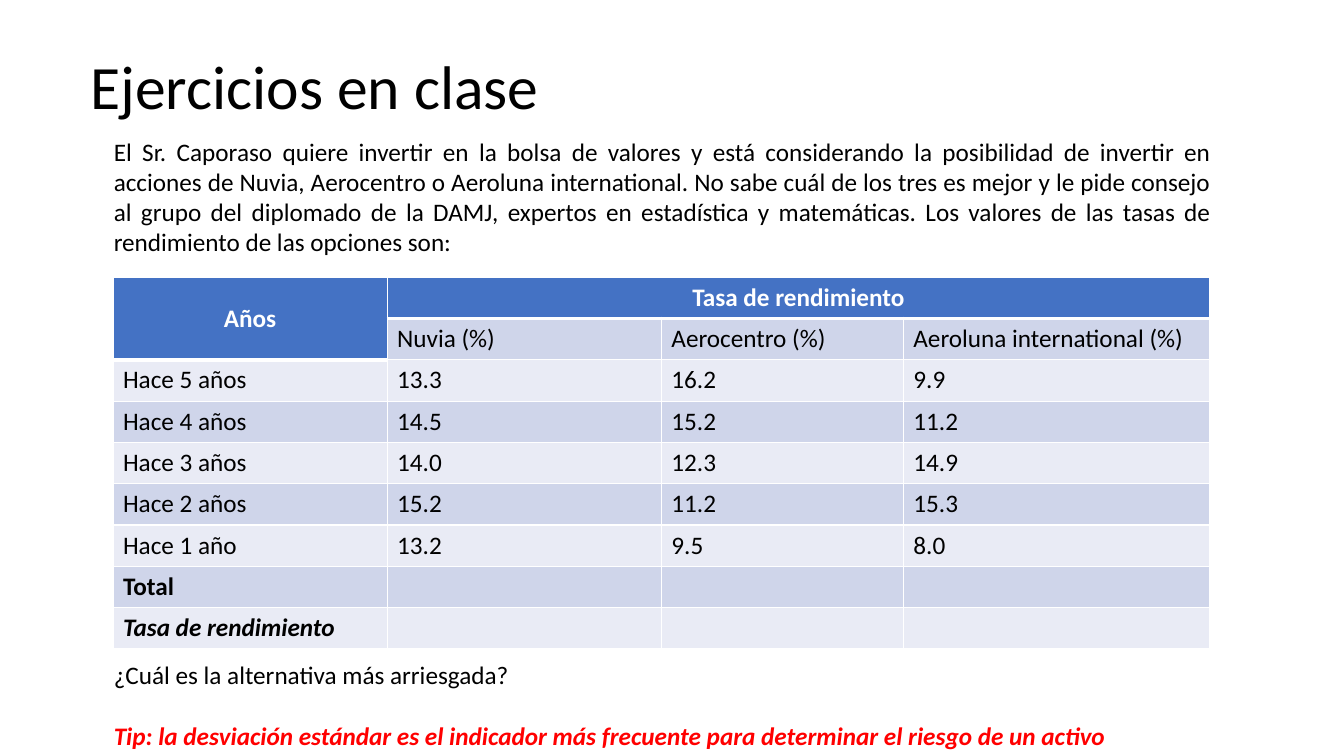
from dataclasses import dataclass

from lxml.etree import SubElement
from pptx import Presentation
from pptx.dml.color import RGBColor
from pptx.enum.text import MSO_ANCHOR, PP_ALIGN
from pptx.oxml.ns import qn
from pptx.util import Inches, Pt


@dataclass(frozen=True)
class Theme:
    """Colours, font and type sizes of the slide."""
    font: str = "Calibri"
    title_size: int = 44
    body_size: int = 18
    ink: str = "000000"
    paper: str = "FFFFFF"
    header: str = "4472C4"
    bands: tuple = ("E9EBF5", "CFD5EA")
    tip: str = "FF0000"
    thin: int = 1
    thick: int = 3


class SlideBuilder:
    """Draws styled elements on the current slide."""

    def __init__(self, slide, theme):
        """Keep the slide and its theme."""
        self.slide = slide
        self.theme = theme

    def style(self, paragraph, size=None, color=None, bold=False, italic=False):
        """Set the font of a paragraph."""
        font = paragraph.font
        font.name = self.theme.font
        font.size = Pt(size or self.theme.body_size)
        font.color.rgb = RGBColor.from_string(color or self.theme.ink)
        font.bold = bold
        font.italic = italic

    def text(self, left, top, width, height, content, align=PP_ALIGN.LEFT,
             anchor=MSO_ANCHOR.TOP, **font):
        """Add a wrapped text box and return its text frame."""
        box = self.slide.shapes.add_textbox(
            Inches(left), Inches(top), Inches(width), Inches(height))
        frame = box.text_frame
        frame.word_wrap = True
        frame.vertical_anchor = anchor
        paragraph = frame.paragraphs[0]
        paragraph.text = content
        paragraph.alignment = align
        self.style(paragraph, **font)
        return frame

    def borders(self, cell, top, bottom):
        """Draw the four white edges of a cell."""
        properties = cell._tc.get_or_add_tcPr()
        widths = {"L": self.theme.thin, "R": self.theme.thin, "T": top, "B": bottom}
        for side, width in widths.items():
            line = SubElement(properties, qn(f"a:ln{side}"), w=str(Pt(width)))
            fill = SubElement(line, qn("a:solidFill"))
            SubElement(fill, qn("a:srgbClr"), val=self.theme.paper)

    def cell(self, cell, content, fill, **font):
        """Fill a cell and write its text."""
        cell.fill.solid()
        cell.fill.fore_color.rgb = RGBColor.from_string(fill)
        paragraph = cell.text_frame.paragraphs[0]
        paragraph.text = content
        self.style(paragraph, **font)

    def table(self, left, top, widths, row_height, rows, label_fonts):
        """Add a banded table with a header row and a tall corner cell."""
        theme = self.theme
        table = self.slide.shapes.add_table(
            len(rows), len(widths), Inches(left), Inches(top),
            Inches(sum(widths)), Inches(row_height * len(rows))).table
        table.first_row = table.horz_banding = False
        for column, width in zip(table.columns, widths):
            column.width = Inches(width)
        for row_index, row in enumerate(rows):
            table.rows[row_index].height = Inches(row_height)
            for column_index, content in enumerate(row):
                cell = table.cell(row_index, column_index)
                header_rows = 2 if column_index == 0 else 1
                is_header = row_index < header_rows
                self.borders(cell,
                             theme.thick if row_index == header_rows else theme.thin,
                             theme.thick if is_header else theme.thin)
                if is_header:
                    self.cell(cell, content, theme.header, color=theme.paper, bold=True)
                    cell.text_frame.paragraphs[0].alignment = PP_ALIGN.CENTER
                else:
                    font = label_fonts.get(content, {})
                    self.cell(cell, content, theme.bands[row_index % 2], **font)
        table.cell(0, 0).merge(table.cell(1, 0))
        table.cell(0, 0).vertical_anchor = MSO_ANCHOR.MIDDLE
        table.cell(0, 1).merge(table.cell(0, len(widths) - 1))


INTRODUCTION = (
    "El Sr. Caporaso quiere invertir en la bolsa de valores y está considerando la "
    "posibilidad de invertir en acciones de Nuvia, Aerocentro o Aeroluna international. "
    "No sabe cuál de los tres es mejor y le pide consejo al grupo del diplomado de la "
    "DAMJ, expertos en estadística y matemáticas. Los valores de las tasas de "
    "rendimiento de las opciones son:")
QUESTION = "¿Cuál es la alternativa más arriesgada?"
TIP = ("Tip: la desviación estándar es el indicador más frecuente para determinar "
       "el riesgo de un activo")
RETURNS = [
    ("Años", "Tasa de rendimiento", "", ""),
    ("", "Nuvia (%)", "Aerocentro (%)", "Aeroluna international (%)"),
    ("Hace 5 años", "13.3", "16.2", "9.9"),
    ("Hace 4 años", "14.5", "15.2", "11.2"),
    ("Hace 3 años", "14.0", "12.3", "14.9"),
    ("Hace 2 años", "15.2", "11.2", "15.3"),
    ("Hace 1 año", "13.2", "9.5", "8.0"),
    ("Total", "", "", ""),
    ("Tasa de rendimiento", "", "", ""),
]
LABEL_FONTS = {
    "Total": {"bold": True},
    "Tasa de rendimiento": {"bold": True, "italic": True},
}


def main():
    """Build the exercise slide."""
    presentation = Presentation()
    presentation.slide_width = Inches(13.33)
    presentation.slide_height = Inches(7.5)
    theme = Theme()
    builder = SlideBuilder(
        presentation.slides.add_slide(presentation.slide_layouts[6]), theme)

    title = builder.text(0.8, 0.16, 11.5, 1.45, "Ejercicios en clase",
                         anchor=MSO_ANCHOR.MIDDLE, size=theme.title_size)
    title.paragraphs[0].line_spacing = 0.9
    builder.text(1.03, 1.3, 11.08, 1.31, INTRODUCTION, align=PP_ALIGN.JUSTIFY)
    builder.table(1.12, 2.75, (2.72, 2.72, 2.4, 3.04), 0.41, RETURNS, LABEL_FONTS)

    closing = builder.text(1.03, 6.49, 10.48, 1.01, QUESTION)
    tip = closing.add_paragraph()
    tip.text = TIP
    tip.space_before = Pt(22)
    builder.style(tip, color=theme.tip, bold=True, italic=True)

    presentation.save("out.pptx")


if __name__ == "__main__":
    main()
